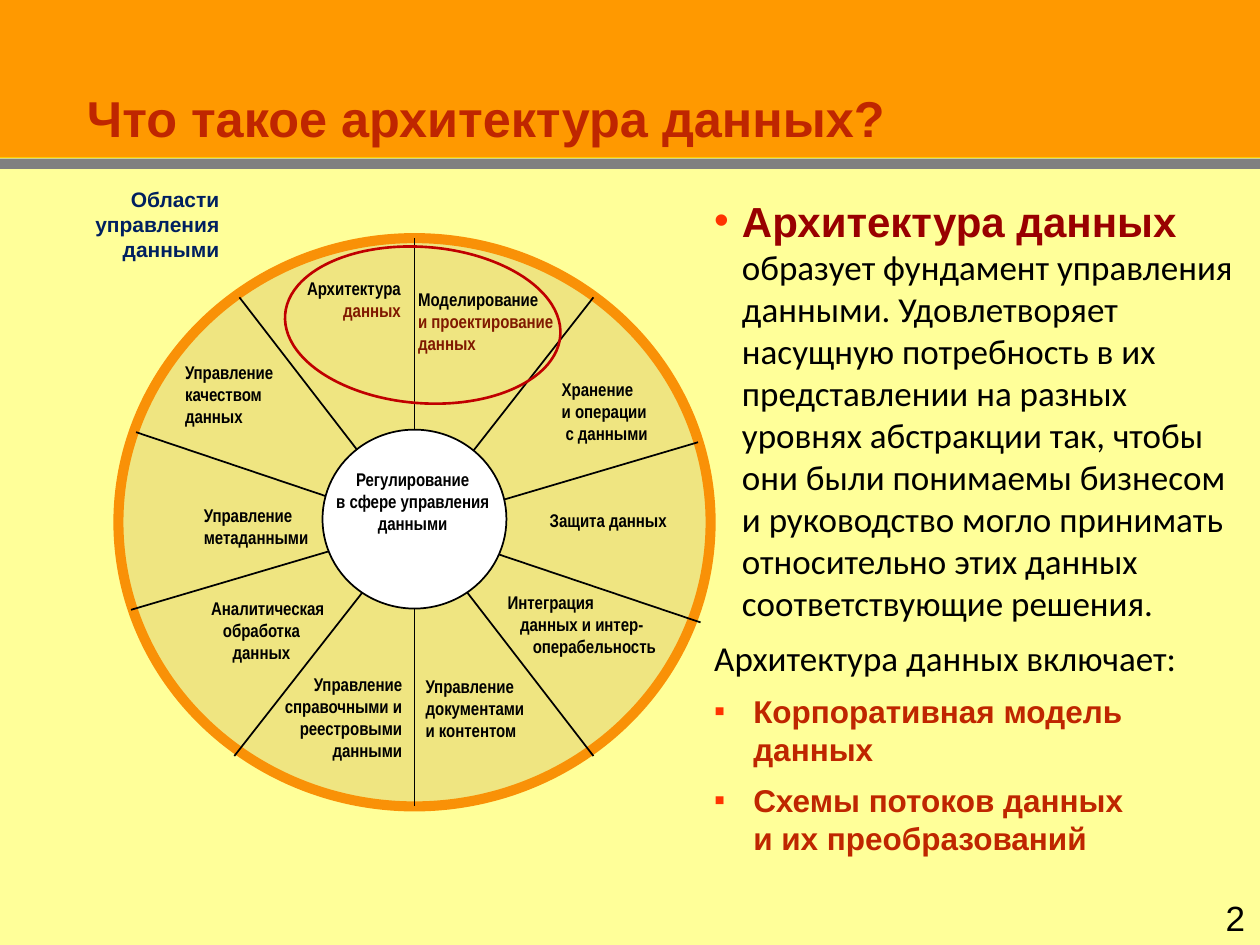
from dataclasses import dataclass

from lxml import etree
from pptx import Presentation
from pptx import util as u
from pptx.dml.color import RGBColor
from pptx.enum import shapes, text
from pptx.oxml import ns


@dataclass(frozen=True)
class Theme:
    # Colours
    head: str = "FF9900"
    page: str = "FFFF99"
    bar: str = "808080"
    edge: str = "FFCC00"
    back: str = "B2B2B2"
    rust: str = "BF2600"
    wine: str = "990000"
    brown: str = "801900"
    navy: str = "002060"
    disc: str = "EFE581"
    rim: str = "F99107"
    ring: str = "C00000"
    dot: str = "FF3300"
    ink: str = "000000"
    white: str = "FFFFFF"
    # Fonts
    sans: str = "Arial"
    slim: str = "Arial Narrow"
    soft: str = "Calibri"
    # Type sizes in points
    title: float = 28.8
    lead: float = 24
    body: float = 20
    item: float = 18
    note: float = 12
    label: float = 10.5


T = Theme()
COLS, ROWS = 100, 75
WIDE, HIGH = u.Inches(10), u.Inches(7.5)
ALIGN = {"l": text.PP_ALIGN.LEFT, "c": text.PP_ALIGN.CENTER,
         "r": text.PP_ALIGN.RIGHT}
RECT, OVAL = shapes.MSO_SHAPE.RECTANGLE, shapes.MSO_SHAPE.OVAL

# Spokes of the wheel: from column, row to column, row
SPOKES = [
    (32.9, 18.9, 32.9, 64), (47.1, 23.6, 18.6, 60), (19, 23.6, 47.1, 60),
    (55.4, 35.1, 10.4, 48.4), (10.8, 34.3, 55.6, 49.4),
]

# Wheel labels: box, alignment, wording, colour of later lines, indents
LABELS = [
    ((20.8, 21.5, 12, 4.9), "r", "Архитектура\nданных", T.brown, ()),
    ((32.2, 22.4, 17.9, 6.8), "l",
     "Моделирование\nи проектирование\nданных", T.brown, ()),
    ((13.7, 28.2, 10.2, 8.7), "l", "Управление\nкачеством\nданных", T.ink, ()),
    ((15.2, 39.5, 11.2, 6.8), "l", "Управление\nметаданными", T.ink, ()),
    ((14, 46.9, 13.5, 8.7), "c",
     "Аналитическая\nобработка\nданных", T.ink, (1, 0, 0)),
    ((18.7, 52.9, 14.2, 8.7), "r",
     "Управление\nсправочными и\nреестровыми\nданными", T.ink, ()),
    ((32.8, 53.1, 12.6, 6.8), "l",
     "Управление\nдокументами\nи контентом", T.ink, ()),
    ((39.3, 46.4, 15.9, 8.7), "l",
     "Интеграция\nданных и интер-\nоперабельность", T.ink, (0, 1, 2)),
    ((41.2, 39.9, 12.7, 4.9), "r", "Защита данных", T.ink, ()),
    ((43.6, 29.5, 9.8, 8.7), "l",
     "Хранение\nи операции\nс данными", T.ink, (0, 0, 0.3)),
]
CORE = ((24.7, 36.7, 16.1, 8.7), "c",
        "Регулирование\nв сфере управления\nданными", T.ink, ())


def col(n):
    return round(WIDE * n / COLS)


def row(n):
    return round(HIGH * n / ROWS)


def grid(x, y, w, h):
    return col(x), row(y), col(w), row(h)


def rgb(code):
    return RGBColor.from_string(code)


def shape(page, kind, box, fill=None, line=None, thick=1, turn=0):
    it = page.shapes.add_shape(kind, *grid(*box))
    it.shadow.inherit = False
    it.rotation = turn
    if fill:
        it.fill.solid()
        it.fill.fore_color.rgb = rgb(fill)
    else:
        it.fill.background()
    if line:
        it.line.color.rgb = rgb(line)
        it.line.width = u.Pt(thick)
    else:
        it.line.fill.background()
    return it


def rule(page, x1, y1, x2, y2, color=T.ink):
    it = page.shapes.add_connector(
        shapes.MSO_CONNECTOR.STRAIGHT, col(x1), row(y1), col(x2), row(y2))
    it.line.color.rgb = rgb(color)
    it.line.width = u.Pt(1)
    etree.SubElement(it._element.spPr, ns.qn("a:effectLst"))
    return it


def frame(page, box):
    it = page.shapes.add_textbox(*grid(*box)).text_frame
    it.word_wrap = True
    return it


def bullet(par, mark, hang):
    prop = par._p.get_or_add_pPr()
    prop.set("marL", str(col(hang)))
    prop.set("indent", str(-col(hang)))
    tint = etree.SubElement(prop, ns.qn("a:buClr"))
    etree.SubElement(tint, ns.qn("a:srgbClr"), val=T.dot)
    etree.SubElement(prop, ns.qn("a:buFont"), typeface=T.sans)
    etree.SubElement(prop, ns.qn("a:buChar"), char=mark)


def say(box, words, face=T.sans, size=T.body, color=T.ink, bold=False,
        align="l", gap=0, mark=None, hang=0, join=False):
    """Add a paragraph, or join the last one; a newline breaks the line."""
    par = box.paragraphs[-1]
    if par.runs and not join:
        par = box.add_paragraph()
    if not join:
        par.alignment = ALIGN[align]
        par.space_before = u.Pt(gap)
        if mark:
            bullet(par, mark, hang)
    for i, line in enumerate(words.split("\n")):
        if i:
            par.add_line_break()
        if line:
            run = par.add_run()
            run.text = line
            run.font.name, run.font.size = face, u.Pt(size)
            run.font.bold = bold
            run.font.color.rgb = rgb(color)
    return par


def label(page, box, align, words, later, steps):
    area = frame(page, box)
    for i, line in enumerate(words.split("\n")):
        par = say(area, line, face=T.slim, size=T.label, bold=True,
                  color=later if i else T.ink, align=align)
        if steps:
            par._p.get_or_add_pPr().set("marL", str(col(steps[i])))


def bands(page):
    # Coloured bands belong to the layout, behind the title
    parts = [
        shape(page, RECT, (0, 0, COLS, 12.5), T.head),
        shape(page, RECT, (0, 12.5, COLS, 62.5), T.page),
        shape(page, RECT, (0, 12.6, COLS, 0.8), T.bar),
        rule(page, 0, 12.5, COLS, 12.5, T.edge),
    ]
    tree = page.slide_layout.shapes._spTree
    for i, part in enumerate(parts):
        tree.insert(2 + i, part._element)


def title(page, words):
    it = page.shapes.title
    it.left, it.top, it.width, it.height = grid(5.9, 7.8, 88.3, 4.4)
    it.fill.solid()
    it.fill.fore_color.rgb = rgb(T.head)
    area = it.text_frame
    area.auto_size = text.MSO_AUTO_SIZE.NONE
    area.vertical_anchor = text.MSO_ANCHOR.BOTTOM
    say(area, words, size=T.title, color=T.rust, bold=True)


def wheel(page):
    shape(page, OVAL, (9.4, 18.9, 47, 45.1), T.disc, T.rim, 5.75)
    for ends in SPOKES:
        rule(page, *ends)
    for item in LABELS:
        label(page, *item)
    shape(page, OVAL, (25.6, 34.1, 14.6, 14.2), T.white, T.ink)
    label(page, *CORE)


def story(page):
    area = frame(page, (55.7, 15, 43.5, 57.8))
    say(area, "Архитектура данных\n", size=T.lead, color=T.wine, bold=True,
        gap=7.5, mark="•", hang=2.2)
    say(area, "образует фундамент управления данными. Удовлетворяет насущную "
        "потребность в их представлении на разных уровнях абстракции так, "
        "чтобы они были понимаемы бизнесом и руководство могло принимать "
        "относительно этих данных соответствующие решения.",
        face=T.soft, join=True)
    say(area, "Архитектура данных включает:", face=T.soft, gap=7.5)
    for words in ("Корпоративная модель данных",
                  "Схемы потоков данных\nи их преобразований"):
        say(area, words, size=T.item, color=T.rust, bold=True,
            gap=7.5, mark="▪", hang=3.1)


def main():
    deck = Presentation()
    deck.slide_width, deck.slide_height = WIDE, HIGH
    page = deck.slides.add_slide(deck.slide_layouts[5])
    page.background.fill.solid()
    page.background.fill.fore_color.rgb = rgb(T.back)
    bands(page)
    title(page, "Что такое архитектура данных?")
    # Page number
    foot = frame(page, (91.3, 70.8, 8.5, 4))
    foot.vertical_anchor = text.MSO_ANCHOR.MIDDLE
    say(foot, "2", align="r")
    wheel(page)
    story(page)
    # Ring round the two highlighted areas, and the wheel's caption
    shape(page, OVAL, (22.6, 19.6, 21.9, 12.4), line=T.ring, thick=1.5, turn=4.4)
    note = frame(page, (2.7, 14.3, 15.7, 7.1))
    for line in ("Области", "управления", "данными"):
        say(note, line, size=T.note, color=T.navy, bold=True, align="r")
    deck.save("out.pptx")


if __name__ == "__main__":
    main()
